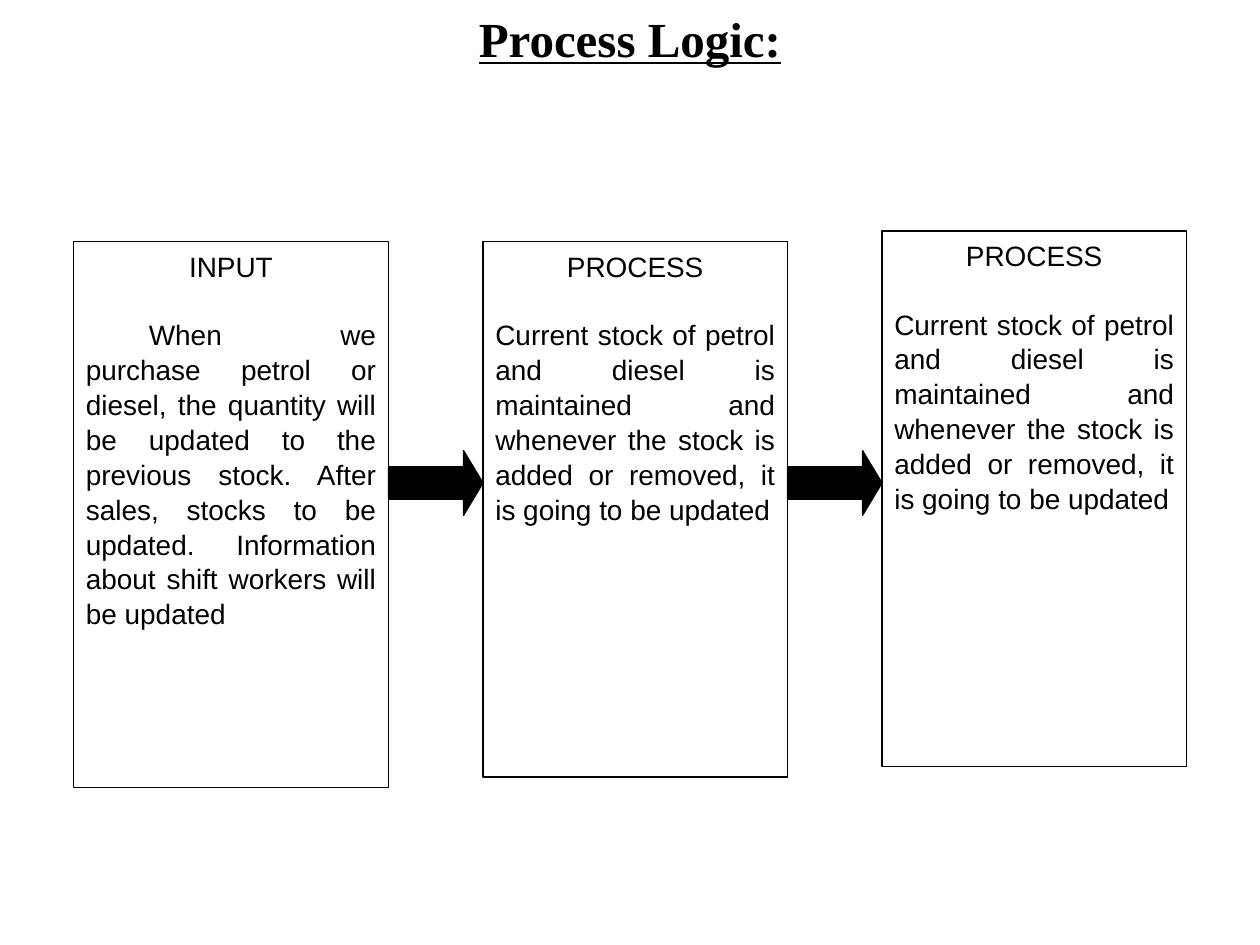
from pptx import Presentation
from pptx.dml.color import RGBColor
from pptx.enum.shapes import MSO_SHAPE
from pptx.enum.text import MSO_ANCHOR, PP_ALIGN
from pptx.util import Pt

BLACK, WHITE = "000000", "FFFFFF"
BODY_FONT = {"name": "Arial", "size": Pt(16), "bold": False}
TITLE_FONT = {"name": "Times New Roman", "size": Pt(28), "bold": True, "underline": True}
HEADING = {"alignment": PP_ALIGN.CENTER, "line_spacing": 1.04, "space_after": Pt(19.2)}
BODY = {"alignment": PP_ALIGN.JUSTIFY, "line_spacing": 1.04}
TITLE = {"alignment": PP_ALIGN.CENTER, "line_spacing": 1.04}

INPUT_TEXT = (
    "When we purchase petrol or diesel, the quantity will be updated to the "
    "previous stock. After sales, stocks to be updated. Information about "
    "shift workers will be updated"
)
PROCESS_TEXT = (
    "Current stock of petrol and diesel is maintained and whenever the stock "
    "is added or removed, it is going to be updated"
)
STAGES = [
    ("INPUT", INPUT_TEXT, (42, 138, 180, 312), 36),
    ("PROCESS", PROCESS_TEXT, (276, 138, 174, 306), 0),
    ("PROCESS", PROCESS_TEXT, (504, 132, 174, 306), 0),
]
ARROW_TOP, ARROW_HEIGHT = 257.5, 37


def color(value):
    return RGBColor.from_string(value)


def apply_format(target, values):
    for name, value in values.items():
        setattr(target, name, value)


def write(para, text, layout, font):
    apply_format(para, layout)
    span = para.add_run()
    span.text = text
    apply_format(span.font, font)
    span.font.color.rgb = color(BLACK)


def add_outlined(page, kind, bounds, fill):
    shape = page.shapes.add_shape(kind, *map(Pt, bounds))
    shape.shadow.inherit = False
    shape.fill.solid()
    shape.fill.fore_color.rgb = color(fill)
    shape.line.color.rgb = color(BLACK)
    shape.line.width = Pt(0.75)
    return shape


def add_title(page, bounds):
    box = page.shapes.add_textbox(*map(Pt, bounds))
    box.text_frame.word_wrap = True
    write(box.text_frame.paragraphs[0], "Process Logic:", TITLE, TITLE_FONT)


def add_stage(page, heading, body, bounds, indent):
    box = add_outlined(page, MSO_SHAPE.RECTANGLE, bounds, WHITE)
    frame = box.text_frame
    apply_format(frame, {"word_wrap": True, "vertical_anchor": MSO_ANCHOR.TOP})
    write(frame.paragraphs[0], heading, HEADING, BODY_FONT)
    para = frame.add_paragraph()
    write(para, body, BODY, BODY_FONT)
    if indent:
        para._p.get_or_add_pPr().set("indent", str(Pt(indent)))


def add_arrow(page, bounds):
    arrow = add_outlined(page, MSO_SHAPE.RIGHT_ARROW, bounds, BLACK)
    arrow.adjustments[0] = 0.5
    arrow.adjustments[1] = 0.3


def main():
    deck = Presentation()
    deck.slide_width, deck.slide_height = Pt(720), Pt(540)
    page = deck.slides.add_slide(deck.slide_layouts[6])
    add_title(page, (0, 0, 720, 41))
    for stage in STAGES:
        add_stage(page, *stage)
    for before, after in zip(STAGES, STAGES[1:]):
        start = before[2][0] + before[2][2]
        add_arrow(page, (start, ARROW_TOP, after[2][0] - start, ARROW_HEIGHT))
    deck.save("out.pptx")


if __name__ == "__main__":
    main()
